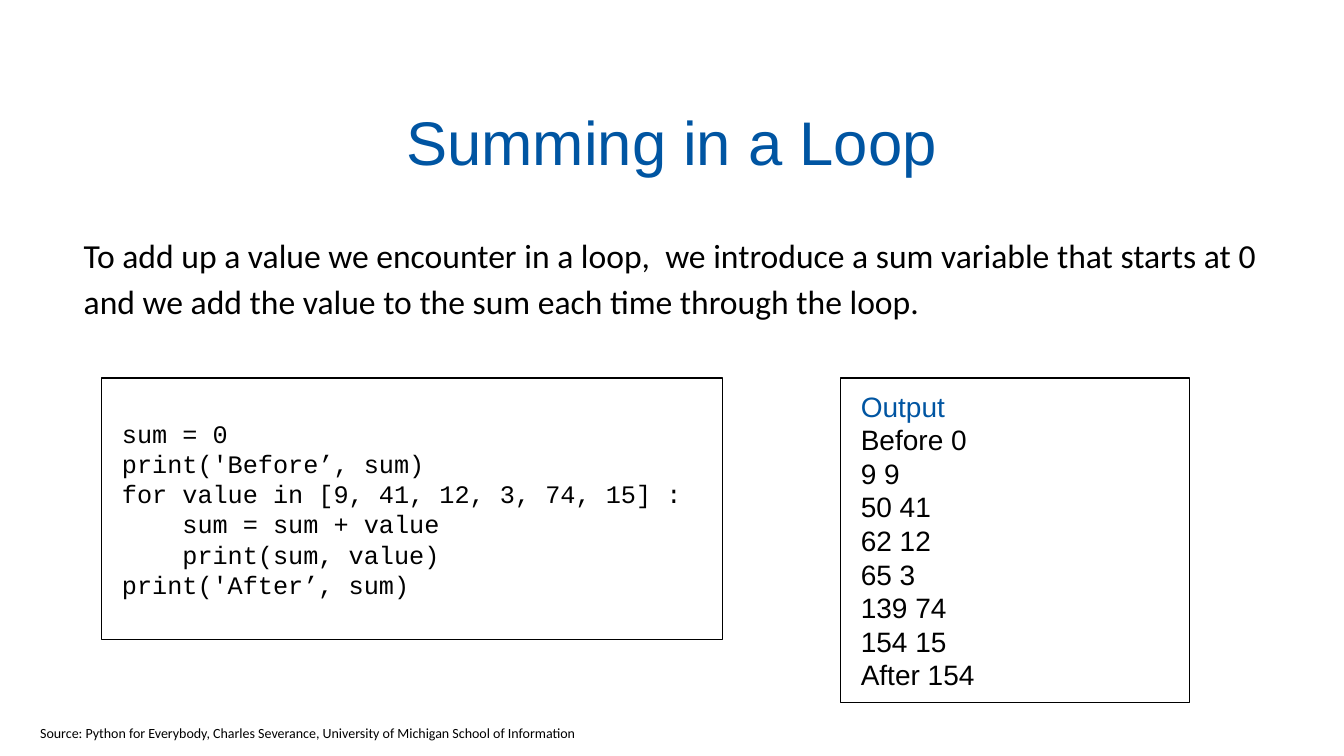
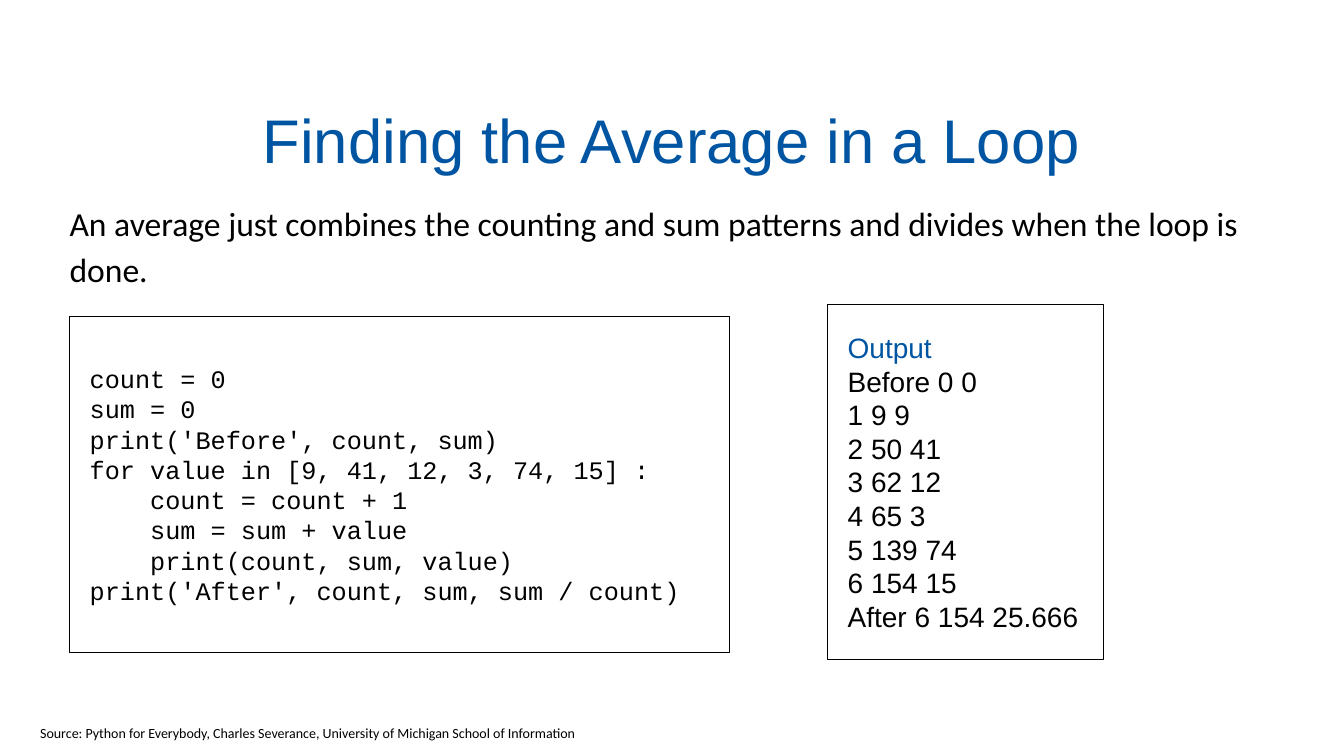
from pptx import Presentation
from pptx.dml.color import RGBColor
from pptx.enum.shapes import MSO_SHAPE
from pptx.enum.text import MSO_ANCHOR, MSO_AUTO_SIZE as AutoSize, PP_ALIGN
from pptx.util import Pt

COLORS = {"accent": "0055A2", "ink": "000000"}
SOURCE = ("Source: Python for Everybody, Charles Severance, "
          "University of Michigan School of Information")


class LessonDeck:
    """Holds the shared style and the slide being built."""

    def __init__(self):
        self.deck = Presentation()
        self.deck.slide_width = Pt(960)
        self.deck.slide_height = Pt(540)
        self.slide = None

    def add_slide(self):
        self.slide = self.deck.slides.add_slide(self.deck.slide_layouts[6])

    def set_lines(self, box, lines, font, size, color="ink", inset=0):
        """Fill a box with left-aligned, vertically centred lines."""
        frame = box.text_frame
        frame.word_wrap = True
        frame.vertical_anchor = MSO_ANCHOR.MIDDLE
        frame.margin_left = Pt(inset)
        frame.margin_right = frame.margin_top = frame.margin_bottom = 0
        frame.text = "\n".join(lines)
        for para in frame.paragraphs:
            para.alignment = PP_ALIGN.LEFT
            for span in para.runs:
                span.font.name = font
                span.font.size = Pt(size)
                self.tint(span, color)
        return frame

    def tint(self, span, color):
        span.font.color.rgb = RGBColor.from_string(COLORS[color])

    def text_box(self, area):
        return self.slide.shapes.add_textbox(*map(Pt, area))

    def title(self, text, top):
        box = self.text_box((68.4, top, 823, 101.5))
        frame = self.set_lines(box, [text], "Arial", 44, "accent")
        frame.paragraphs[0].alignment = PP_ALIGN.CENTER

    def intro(self, area, lines):
        frame = self.set_lines(self.text_box(area), lines, "Calibri", 24)
        for para in frame.paragraphs:
            para.line_spacing = 1.15

    def panel(self, area, lines, font, size):
        """Draw an outlined rectangle with indented text."""
        box = self.slide.shapes.add_shape(MSO_SHAPE.RECTANGLE, *map(Pt, area))
        box.shadow.inherit = False
        box.fill.background()
        box.line.color.rgb = RGBColor.from_string(COLORS["ink"])
        box.line.width = Pt(0.75)
        return self.set_lines(box, lines, font, size, inset=14.4)

    def code(self, area, text):
        self.panel(area, text.strip().split("\n"), "Courier New", 18)

    def output(self, area, lines):
        frame = self.panel(area, ["Output", *lines], "Arial", 20)
        self.tint(frame.paragraphs[0].runs[0], "accent")

    def source(self):
        box = self.text_box((21.6, 514, 403.2, 19.4))
        frame = self.set_lines(box, [SOURCE], "Calibri", 10, inset=7.2)
        frame.word_wrap = False
        frame.auto_size = AutoSize.SHAPE_TO_FIT_TEXT
        frame.margin_right = Pt(7.2)
        frame.margin_top = frame.margin_bottom = Pt(3.6)


SUM_CODE = """
sum = 0
print('Before’, sum)
for value in [9, 41, 12, 3, 74, 15] :
    sum = sum + value
    print(sum, value)
print('After’, sum)
"""

AVERAGE_CODE = """
count = 0
sum = 0
print('Before', count, sum)
for value in [9, 41, 12, 3, 74, 15] :
    count = count + 1
    sum = sum + value
    print(count, sum, value)
print('After', count, sum, sum / count)
"""


def main():
    lesson = LessonDeck()

    lesson.add_slide()
    lesson.title("Summing in a Loop", 49.7)
    lesson.code((72.7, 270, 443.5, 186.5), SUM_CODE)
    lesson.output((600.5, 270, 249.1, 231.8),
                  ["Before 0", "9 9", "50 41", "62 12", "65 3",
                   "139 74", "154 15", "After 154"])
    lesson.intro((59.8, 162.7, 864.7, 67.7), [
        "To add up a value we encounter in a loop,  "
        "we introduce a sum variable that starts at 0",
        "and we add the value to the sum each time through the loop."])
    lesson.source()

    lesson.add_slide()
    lesson.title("Finding the Average in a Loop", 48.2)
    lesson.code((49.7, 226.1, 471.6, 239.8), AVERAGE_CODE)
    lesson.output((591.1, 217.4, 197.3, 253.4),
                  ["Before 0 0", "1 9 9", "2 50 41", "3 62 12", "4 65 3",
                   "5 139 74", "6 154 15", "After 6 154 25.666"])
    lesson.intro((49.7, 139.7, 841.7, 67.7), [
        "An average just combines the counting and sum patterns "
        "and divides when the loop is done."])
    lesson.source()

    lesson.deck.save("out.pptx")


if __name__ == "__main__":
    main()
